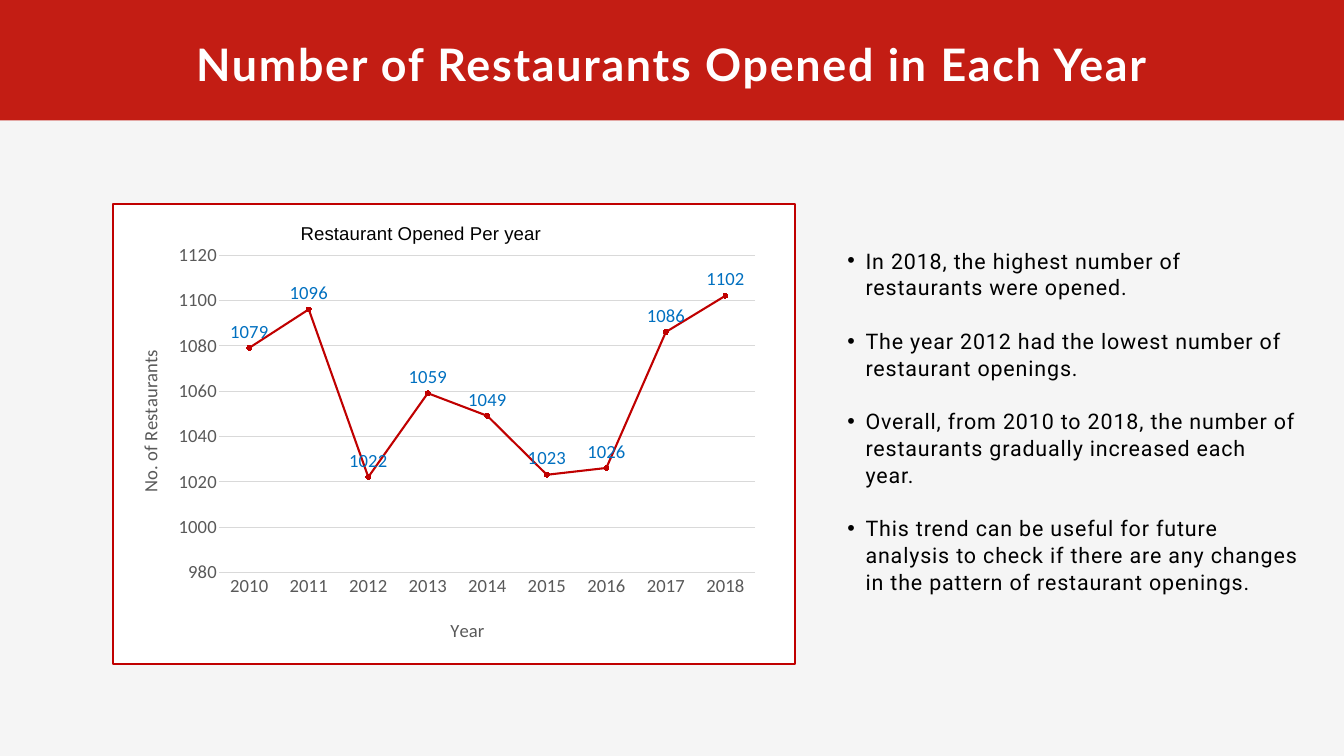
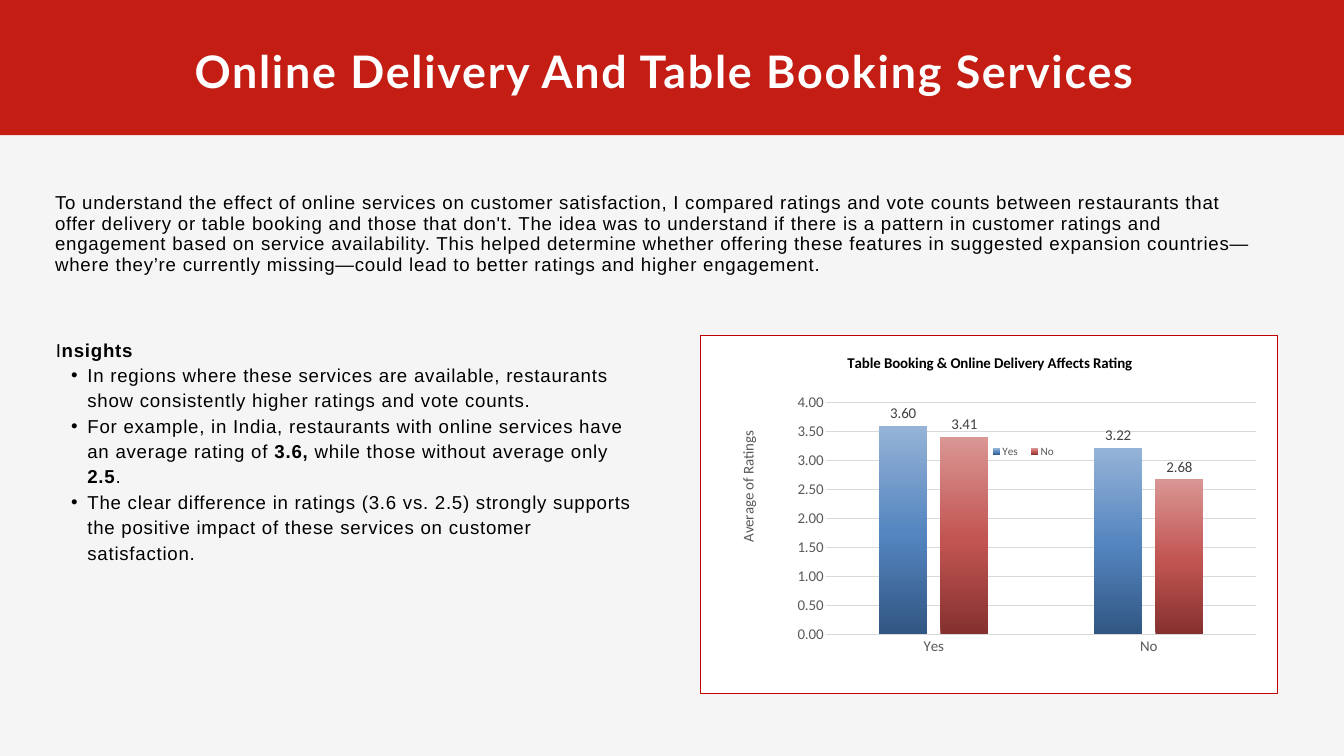
from dataclasses import dataclass

from lxml.etree import SubElement
from pptx import Presentation
from pptx.chart.data import CategoryChartData
from pptx.dml.color import RGBColor
from pptx.enum.chart import (
    XL_CHART_TYPE,
    XL_LABEL_POSITION,
    XL_LEGEND_POSITION,
    XL_MARKER_STYLE,
    XL_TICK_MARK,
)
from pptx.enum.shapes import MSO_SHAPE
from pptx.enum.text import MSO_ANCHOR, MSO_AUTO_SIZE, PP_ALIGN
from pptx.oxml import parse_xml
from pptx.oxml.ns import nsdecls, qn
from pptx.util import Inches, Pt

COLORS = {
    "page": "F5F5F5",
    "band": "C31D14",
    "white": "FFFFFF",
    "black": "000000",
    "accent": "C00000",
    "axis": "595959",
    "grid": "D9D9D9",
    "line label": "0070C0",
    "bar label": "404040",
}
GRADIENTS = {
    "Yes": ("315683", "5485BF", "95B3D7"),
    "No": ("85312F", "C25552", "D99694"),
}
GRADIENT_STOPS = (0, 48, 100)
SLIDE_WIDTH = 20


@dataclass(frozen=True)
class Box:
    left: float
    top: float
    width: float
    height: float

    def lengths(self) -> tuple:
        return tuple(map(Inches, (self.left, self.top, self.width, self.height)))


@dataclass(frozen=True)
class TextStyle:
    font: str
    size: float
    leading: float
    spacing: float
    color: str = "black"
    bold: bool = False
    align: PP_ALIGN = PP_ALIGN.LEFT
    gap: float = 0
    indent: float = 0
    hanging: float = 0


@dataclass(frozen=True)
class ChartLook:
    kind: XL_CHART_TYPE
    box: Box
    size: float
    title: str
    title_font: str
    title_bold: bool
    title_at: tuple
    plot: tuple
    minimum: float
    maximum: float
    step: float
    number_format: str
    border: float
    label_color: str
    label_position: XL_LABEL_POSITION


TITLE = TextStyle("Lato", 48, 52.8, 1.9, "white", True, PP_ALIGN.CENTER)
FINDINGS = TextStyle("Roboto", 23, 28.7, 0.9, gap=28.7, indent=0.54, hanging=0.27)
INTRO = TextStyle("Arial", 20, 22, 0.8)
HEADING = TextStyle("Arial", 20, 27.2, 0.8)
INSIGHTS = TextStyle("Arial", 20, 27.2, 0.8, indent=0.47, hanging=0.24)

YEAR_LOOK = ChartLook(
    XL_CHART_TYPE.LINE_MARKERS, Box(1.67, 3.02, 10.17, 6.88), 20,
    "Restaurant Opened Per year", "Arial", False, (0.27, 0.03),
    (0.156, 0.111, 0.786, 0.689), 980, 1120, 20, "General", 2,
    "line label", XL_LABEL_POSITION.ABOVE,
)
RATING_LOOK = ChartLook(
    XL_CHART_TYPE.COLUMN_CLUSTERED, Box(10.42, 4.99, 8.59, 5.33), 16,
    "Table Booking & Online Delivery Affects Rating", "Calibri", True, (0.25, 0.04),
    (0.218, 0.187, 0.746, 0.649), 0, 4, 0.5, "0.00", 0.75,
    "bar label", XL_LABEL_POSITION.OUTSIDE_END,
)


def rgb(name: str) -> RGBColor:
    return RGBColor.from_string(COLORS[name])


def set_font(font, name: str, size: float, color: str, bold: bool = False) -> None:
    font.name = name
    font.size = Pt(size)
    font.bold = bold
    font.color.rgb = rgb(color)


def set_line(line, color: str, width: float) -> None:
    line.color.rgb = rgb(color)
    line.width = Pt(width)


def move(shape, box: Box) -> None:
    shape.left, shape.top, shape.width, shape.height = box.lengths()


def prepare_frame(frame, anchor: MSO_ANCHOR, margin: float = 0) -> None:
    frame.word_wrap = True
    frame.auto_size = MSO_AUTO_SIZE.NONE
    frame.vertical_anchor = anchor
    frame.margin_left = frame.margin_right = Inches(margin)
    frame.margin_top = frame.margin_bottom = Inches(margin)


def write_paragraph(frame, style: TextStyle, spans: list, first: bool) -> None:
    para = frame.paragraphs[0] if first else frame.add_paragraph()
    para.alignment = style.align
    para.line_spacing = Pt(style.leading)
    para.space_before = Pt(0 if first else style.gap)
    para.space_after = Pt(0)
    properties = para._p.get_or_add_pPr()
    properties.set("marL", str(Inches(style.indent)))
    properties.set("indent", str(-Inches(style.hanging)))
    if style.hanging:
        SubElement(properties, qn("a:buFont"), typeface="Arial")
        SubElement(properties, qn("a:buChar"), char="•")
    else:
        SubElement(properties, qn("a:buNone"))
    set_font(para.font, style.font, style.size, style.color, style.bold)
    para.font._rPr.set("spc", str(round(style.spacing * 100)))
    for text, bold in spans:
        span = para.add_run()
        span.text = text
        if bold:
            span.font.bold = True


def add_page(deck, title: str, band_height: float, title_box: Box,
             anchor: MSO_ANCHOR, margin: float):
    page = deck.slides.add_slide(deck.slide_layouts[1])
    band = page.shapes.add_shape(
        MSO_SHAPE.RECTANGLE, *Box(0, 0, SLIDE_WIDTH, band_height).lengths())
    band.shadow.inherit = False
    band.fill.solid()
    band.fill.fore_color.rgb = rgb("band")
    band.line.fill.background()
    page.shapes._spTree.insert(2, band._element)
    move(page.shapes.title, title_box)
    frame = page.shapes.title.text_frame
    prepare_frame(frame, anchor, margin)
    write_paragraph(frame, TITLE, [(title, False)], True)
    return page


def place(element, mode: str = "edge", **fractions: float) -> None:
    layout = element.find(qn("c:layout"))
    if layout is None:
        layout = parse_xml(f"<c:layout {nsdecls('c')}/>")
        leading = [child for child in element
                   if child.tag in (qn("c:tx"), qn("c:legendPos"))]
        element.insert(len(leading), layout)
    for child in list(layout):
        layout.remove(child)
    manual = SubElement(layout, qn("c:manualLayout"))
    if mode == "inner":
        SubElement(manual, qn("c:layoutTarget"), val="inner")
    for name in ("xMode", "yMode"):
        SubElement(manual, qn(f"c:{name}"), val="edge")
    for name, value in fractions.items():
        SubElement(manual, qn(f"c:{name}"), val=str(value))


def write_chart_title(title, text: str, font: str, size: float, color: str,
                      bold: bool, at: tuple) -> None:
    para = title.text_frame.paragraphs[0]
    para.add_run().text = text
    set_font(para.font, font, size, color, bold)
    place(title._element, x=at[0], y=at[1])


def title_axis(axis, text: str, size: float, at: tuple) -> None:
    axis.has_title = True
    write_chart_title(axis.axis_title, text, "Calibri", size, "axis", False, at)


def add_chart(page, look: ChartLook, categories: list, series: dict):
    data = CategoryChartData(number_format=look.number_format)
    data.categories = categories
    for name, values in series.items():
        data.add_series(name, values)
    chart = page.shapes.add_chart(look.kind, *look.box.lengths(), data).chart
    set_font(chart.font, "Calibri", look.size, "black")
    chart.has_legend = False
    chart.has_title = True
    write_chart_title(chart.chart_title, look.title, look.title_font, look.size,
                      "black", look.title_bold, look.title_at)
    body = chart._chartSpace.find(qn("c:chart"))
    body.addnext(parse_xml(
        f"<c:spPr {nsdecls('c', 'a')}>"
        f"<a:solidFill><a:srgbClr val='{COLORS['white']}'/></a:solidFill>"
        f"<a:ln w='{Pt(look.border)}'><a:solidFill>"
        f"<a:srgbClr val='{COLORS['accent']}'/></a:solidFill></a:ln></c:spPr>"))
    place(body.find(qn("c:plotArea")), "inner", **dict(zip("xywh", look.plot)))
    for axis in (chart.category_axis, chart.value_axis):
        axis.major_tick_mark = axis.minor_tick_mark = XL_TICK_MARK.NONE
        set_font(axis.tick_labels.font, "Calibri", look.size, "axis")
    set_line(chart.category_axis.format.line, "grid", 0.75)
    scale = chart.value_axis
    scale.minimum_scale, scale.maximum_scale = look.minimum, look.maximum
    scale.major_unit = look.step
    scale.tick_labels.number_format = look.number_format
    scale.tick_labels.number_format_is_linked = False
    scale.format.line.fill.background()
    set_line(scale.major_gridlines.format.line, "grid", 0.75)
    chart.plots[0].vary_by_categories = False
    for item in chart.plots[0].series:
        labels = item.data_labels
        labels.show_value = True
        labels.position = look.label_position
        labels.number_format = look.number_format
        labels.number_format_is_linked = False
        set_font(labels.font, "Calibri", look.size, look.label_color)
    return chart


def fill_gradient(series, colors: tuple) -> None:
    fill = series.format.fill
    fill.gradient()
    fill.gradient_angle = 90
    stops = series._element.spPr.find(f".//{qn('a:gsLst')}")
    for stop in list(stops):
        stops.remove(stop)
    for position, color in zip(GRADIENT_STOPS, colors):
        stop = SubElement(stops, qn("a:gs"), pos=str(position * 1000))
        SubElement(stop, qn("a:srgbClr"), val=color)


def build_openings(deck) -> None:
    page = add_page(deck, "Number of Restaurants Opened in Each Year", 1.79,
                    Box(0, 0.16, SLIDE_WIDTH, 1.63), MSO_ANCHOR.MIDDLE, 0.06)
    findings = page.placeholders[1]
    move(findings, Box(12.28, 2.58, 7.14, 7.76))
    frame = findings.text_frame
    prepare_frame(frame, MSO_ANCHOR.MIDDLE, 0.06)
    frame.margin_bottom = Inches(0.46)
    for index, text in enumerate((
        "In 2018, the highest number of restaurants were opened.",
        "The year 2012 had the lowest number of restaurant openings.",
        "Overall, from 2010 to 2018, the number of restaurants gradually increased each year.",
        "This trend can be useful for future analysis to check if there are any changes "
        "in the pattern of restaurant openings.",
    )):
        write_paragraph(frame, FINDINGS, [(text, False)], index == 0)
    chart = add_chart(page, YEAR_LOOK, [str(year) for year in range(2010, 2019)], {
        "Series 1": (1079, 1096, 1022, 1059, 1049, 1023, 1026, 1086, 1102)})
    title_axis(chart.category_axis, "Year", 20, (0.49, 0.89))
    title_axis(chart.value_axis, "No. of Restaurants", 20, (0.03, 0.31))
    openings = chart.plots[0].series[0]
    openings.smooth = False
    set_line(openings.format.line, "accent", 2.25)
    openings.marker.style = XL_MARKER_STYLE.CIRCLE
    openings.marker.size = 5
    openings.marker.format.fill.solid()
    openings.marker.format.fill.fore_color.rgb = rgb("accent")
    set_line(openings.marker.format.line, "accent", 0.75)


def build_services(deck) -> None:
    page = add_page(deck, "Online Delivery And Table Booking Services", 2.01,
                    Box(2.17, 0.72, 15.44, 0.75), MSO_ANCHOR.TOP, 0)
    intro = page.shapes.add_textbox(*Box(0.82, 2.87, 17.83, 1.27).lengths()).text_frame
    prepare_frame(intro, MSO_ANCHOR.TOP)
    write_paragraph(intro, INTRO, [(
        "To understand the effect of online services on customer satisfaction, I compared "
        "ratings and vote counts between restaurants that offer delivery or table booking "
        "and those that don't. The idea was to understand if there is a pattern in customer "
        "ratings and engagement based on service availability. This helped determine whether "
        "offering these features in suggested expansion countries—where they’re currently "
        "missing—could lead to better ratings and higher engagement.", False)], True)
    insights = page.placeholders[1]
    move(insights, Box(0.83, 4.99, 8.59, 4.1))
    frame = insights.text_frame
    prepare_frame(frame, MSO_ANCHOR.TOP)
    write_paragraph(frame, HEADING, [("I", False), ("nsights", True)], True)
    for spans in (
        [("In regions where these services are available, restaurants show consistently "
          "higher ratings and vote counts.", False)],
        [("For example, in India, restaurants with online services have an average rating of ",
          False), ("3.6,", True), (" while those without average only ", False),
         ("2.5", True), (".", False)],
        [("The clear difference in ratings (3.6 vs. 2.5) strongly supports the positive "
          "impact of these services on customer satisfaction.", False)],
    ):
        write_paragraph(frame, INSIGHTS, spans, False)
    chart = add_chart(page, RATING_LOOK, ["Yes", "No"],
                      {"Yes": (3.6, 3.22), "No": (3.41, 2.68)})
    title_axis(chart.value_axis, "Average of Ratings", 16, (0.06, 0.26))
    chart.plots[0].gap_width = 219
    chart.plots[0].overlap = -27
    for series in chart.plots[0].series:
        fill_gradient(series, GRADIENTS[series.name])
    chart.has_legend = True
    chart.legend.position = XL_LEGEND_POSITION.RIGHT
    set_font(chart.legend.font, "Calibri", 12, "axis")
    place(chart.legend._element, x=0.49, y=0.3, w=0.14, h=0.05)


def main() -> None:
    deck = Presentation()
    deck.slide_width, deck.slide_height = Inches(SLIDE_WIDTH), Inches(11.25)
    background = deck.slide_master.background.fill
    background.solid()
    background.fore_color.rgb = rgb("page")
    build_openings(deck)
    build_services(deck)
    deck.save("out.pptx")


if __name__ == "__main__":
    main()
